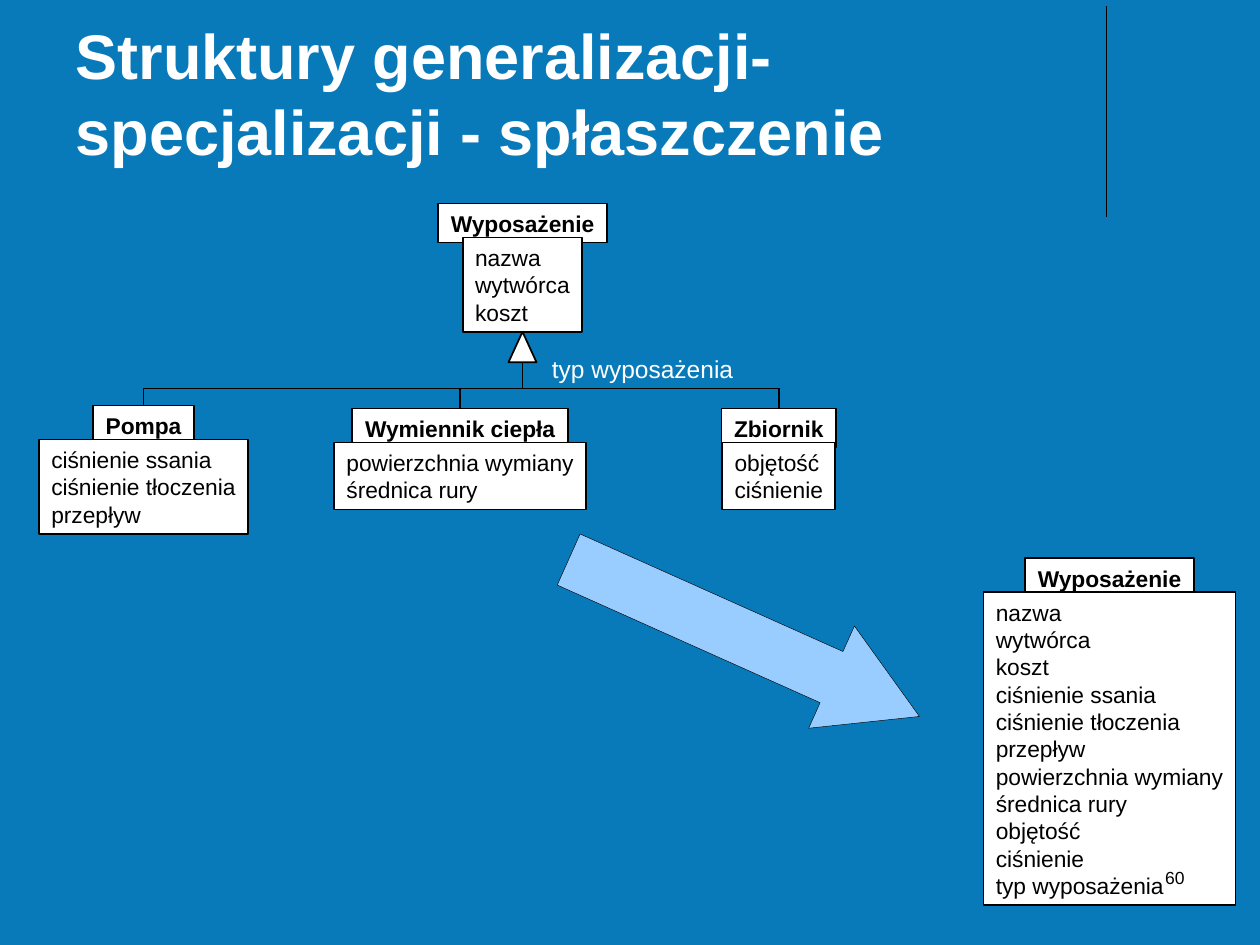
from dataclasses import dataclass

from pptx import Presentation
from pptx.dml.color import RGBColor
from pptx.enum.shapes import MSO_CONNECTOR, MSO_SHAPE
from pptx.enum.text import MSO_ANCHOR, MSO_AUTO_SIZE, PP_ALIGN
from pptx.oxml.ns import qn
from pptx.util import Pt

STRAIGHT = MSO_CONNECTOR.STRAIGHT
RECTANGLE = MSO_SHAPE.RECTANGLE
TRIANGLE = MSO_SHAPE.ISOSCELES_TRIANGLE
RIGHT_ARROW = MSO_SHAPE.RIGHT_ARROW
TOP, BOTTOM = MSO_ANCHOR.TOP, MSO_ANCHOR.BOTTOM
GROW, FIXED = MSO_AUTO_SIZE.SHAPE_TO_FIT_TEXT, MSO_AUTO_SIZE.NONE
LEFT, CENTER, RIGHT = PP_ALIGN.LEFT, PP_ALIGN.CENTER, PP_ALIGN.RIGHT
TOP_SIDE, BOTTOM_SIDE = 0, 2


@dataclass(frozen=True)
class Theme:
    background: RGBColor = RGBColor(0x09, 0x7A, 0xB9)
    light: RGBColor = RGBColor(0xFF, 0xFF, 0xFF)
    dark: RGBColor = RGBColor(0x00, 0x00, 0x00)
    arrow: RGBColor = RGBColor(0x99, 0xCC, 0xFF)
    font: str = "Arial"
    title_size: float = 36
    label_size: float = 14
    class_size: float = 13
    number_size: float = 10


THEME = Theme()

# Class boxes: height of the name, step down to the attributes, row height
NAME_HEIGHT, BODY_STEP, ROW_HEIGHT, ROW_PADDING = 22.3, 19.4, 15.6, 7.2
BAR_Y = 222

ROOT_ATTRIBUTES = ["nazwa", "wytwórca", "koszt"]
ROOT = ("Wyposażenie", 298.6, 116.3, 96.5, 68.4, ROOT_ATTRIBUTES)
# name, centre, top, name width, attribute width, attributes
SUBCLASSES = [
    ("Pompa", 82, 231.8, 57.6, 119.5,
     ["ciśnienie ssania", "ciśnienie tłoczenia", "przepływ"]),
    ("Wymiennik ciepła", 262.9, 233.4, 123.2, 144,
     ["powierzchnia wymiany", "średnica rury"]),
    ("Zbiornik", 445, 233.4, 65.4, 64.6, ["objętość", "ciśnienie"]),
]
DISCRIMINATOR = "typ wyposażenia"


def apply(target, values):
    for name, value in values.items():
        setattr(target, name, value)


def write(box, lines, size, color, bold=False, align=LEFT, wrap=False,
          anchor=TOP, fit=GROW):
    frame = box.text_frame
    frame.text = "\n".join(lines)
    apply(frame, dict(word_wrap=wrap, vertical_anchor=anchor, auto_size=fit,
                      margin_left=Pt(7.2), margin_right=Pt(7.2),
                      margin_top=Pt(3.6), margin_bottom=Pt(3.6)))
    for para in frame.paragraphs:
        para.alignment = align
        for span in para.runs:
            apply(span.font, dict(name=THEME.font, size=Pt(size), bold=bold))
            span.font.color.rgb = color


def add_box(shapes, kind, left, top, width, height, fill, line_width=1):
    shape = shapes.add_shape(kind, Pt(left), Pt(top), Pt(width), Pt(height))
    shape.shadow.inherit = False
    shape.fill.solid()
    shape.fill.fore_color.rgb = fill
    shape.line.color.rgb = THEME.dark
    shape.line.width = Pt(line_width)
    return shape


def add_text(page, text, left, top, width, height, size, color, **layout):
    box = page.shapes.add_textbox(Pt(left), Pt(top), Pt(width), Pt(height))
    write(box, [text], size, color, **layout)


def add_line(page, x1, y1, x2, y2, width=1):
    line = page.shapes.add_connector(STRAIGHT, Pt(x1), Pt(y1), Pt(x2), Pt(y2))
    line.line.color.rgb = THEME.dark
    line.line.width = Pt(width)
    properties = line._element.spPr
    properties.append(properties.makeelement(qn("a:effectLst"), {}))
    return line


def add_class(page, name, center, top, name_width, body_width, attributes):
    """Draw a class as a name box with an attribute box overlapping it."""
    shapes = page.shapes.add_group_shape().shapes
    head = add_box(shapes, RECTANGLE, center - name_width / 2, top,
                   name_width, NAME_HEIGHT, THEME.light)
    write(head, [name], THEME.class_size, THEME.dark, bold=True, align=CENTER)
    body = add_box(shapes, RECTANGLE, center - body_width / 2, top + BODY_STEP,
                   body_width, ROW_PADDING + ROW_HEIGHT * len(attributes),
                   THEME.light)
    write(body, attributes, THEME.class_size, THEME.dark)
    return head, body


def add_title(page, text):
    title = page.shapes.title
    apply(title, dict(left=Pt(36), top=Pt(9.4), width=Pt(594), height=Pt(90)))
    write(title, [text], THEME.title_size, THEME.light, bold=True, wrap=True,
          anchor=BOTTOM)


def add_hierarchy(page):
    center = ROOT[1]
    root_body = add_class(page, *ROOT)[1]

    # Subclasses hang from a shared bar
    add_line(page, SUBCLASSES[0][1], BAR_Y, SUBCLASSES[-1][1], BAR_Y)
    for subclass in SUBCLASSES:
        head = add_class(page, *subclass)[0]
        x, top = subclass[1:3]
        add_line(page, x, BAR_Y, x, top).end_connect(head, TOP_SIDE)

    # Trunk with the generalization triangle
    trunk = add_line(page, center, 190, center, BAR_Y)
    trunk.begin_connect(root_body, BOTTOM_SIDE)
    add_box(page.shapes, TRIANGLE, center - 8, 189.6, 16, 17.4, THEME.light)
    add_text(page, DISCRIMINATOR, 308.2, 198.7, 118, 23.8,
             THEME.label_size, THEME.light)


def add_flattened_class(page):
    attributes = ROOT_ATTRIBUTES + [
        item for subclass in SUBCLASSES for item in subclass[-1]]
    add_class(page, ROOT[0], 634, 319, ROOT[3], 144,
              attributes + [DISCRIMINATOR])
    arrow = add_box(page.shapes, RIGHT_ARROW, 315.4, 332.6, 219.6, 64,
                    THEME.arrow, line_width=0.25)
    arrow.adjustments[0], arrow.adjustments[1] = 0.5, 0.86
    arrow.rotation = 24.1


def main():
    deck = Presentation()
    deck.slide_width, deck.slide_height = Pt(720), Pt(540)
    page = deck.slides.add_slide(deck.slide_layouts.get_by_name("Title Only"))
    page.background.fill.solid()
    page.background.fill.fore_color.rgb = THEME.background

    # Heading and its side rule
    add_line(page, 632.2, 3.6, 632.2, 123.8, 0.75)
    add_title(page, "Struktury generalizacji-specjalizacji - spłaszczenie")

    # Class diagram before and after flattening
    add_hierarchy(page)
    add_flattened_class(page)

    # Slide number
    add_text(page, "60", 516, 492, 168, 36, THEME.number_size, THEME.dark,
             align=RIGHT, wrap=True, fit=FIXED)
    deck.save("out.pptx")


if __name__ == "__main__":
    main()
